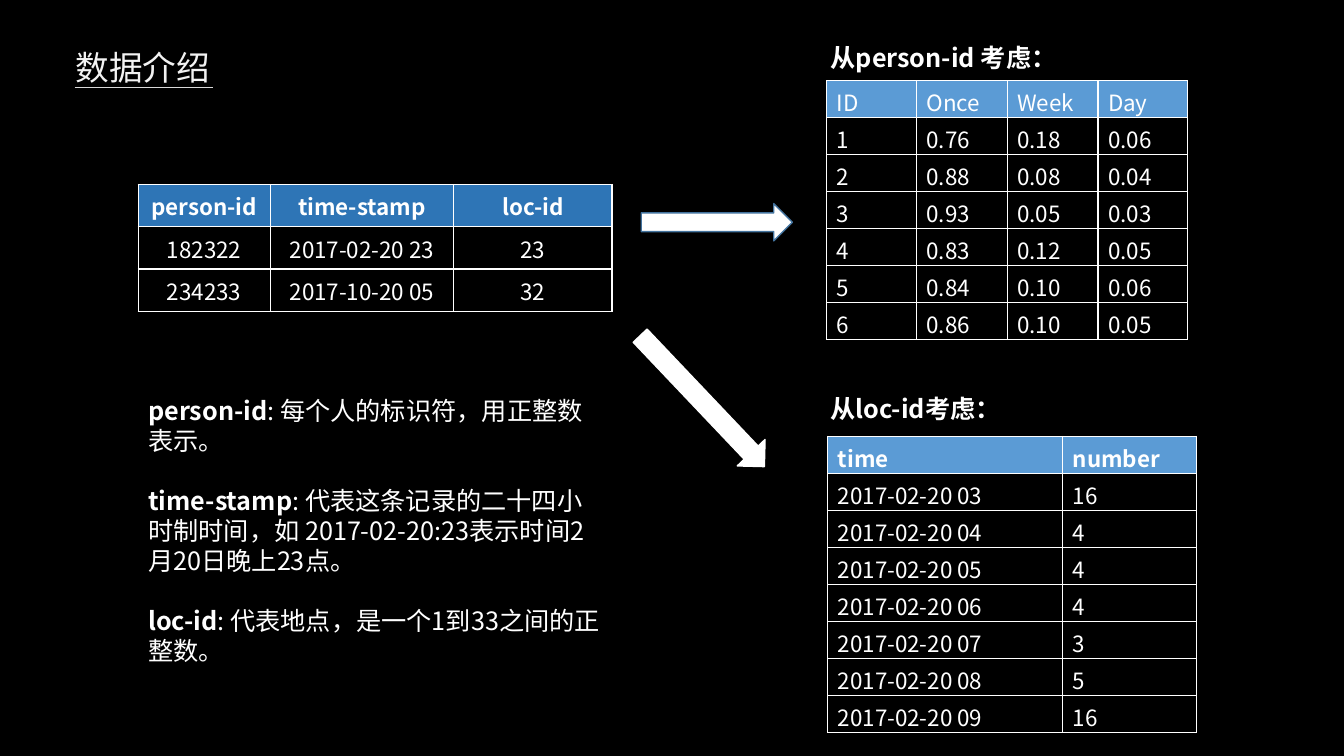
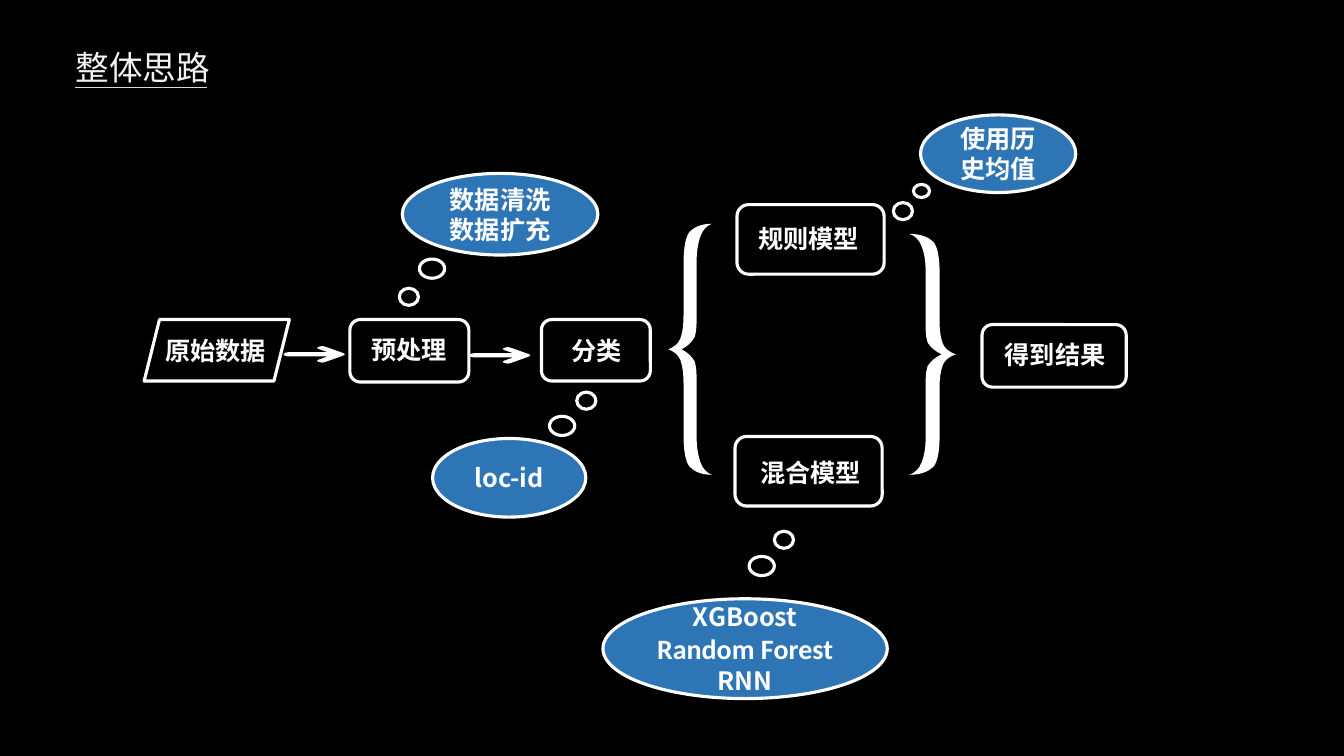
from dataclasses import dataclass
from typing import NamedTuple

from lxml import etree
from pptx import Presentation
from pptx.dml.color import RGBColor
from pptx.enum.shapes import MSO_CONNECTOR, MSO_SHAPE
from pptx.enum.text import MSO_ANCHOR, MSO_AUTO_SIZE, PP_ALIGN
from pptx.oxml.ns import qn
from pptx.util import Emu, Pt

ELLIPSE, ROUND_RECT = MSO_SHAPE.OVAL, MSO_SHAPE.ROUNDED_RECTANGLE
PARALLELOGRAM, RIGHT_ARROW = MSO_SHAPE.PARALLELOGRAM, MSO_SHAPE.RIGHT_ARROW
STRAIGHT = MSO_CONNECTOR.STRAIGHT
TOP, MIDDLE = MSO_ANCHOR.TOP, MSO_ANCHOR.MIDDLE
LEFT, CENTER = PP_ALIGN.LEFT, PP_ALIGN.CENTER
NO_FIT = MSO_AUTO_SIZE.NONE

EMU_PER_PX = 9144
Point = tuple[float, float]
Steps = tuple[tuple[int, ...], ...]


class Style(NamedTuple):
    font: str
    size: int
    color: str
    bold: bool = False


@dataclass(frozen=True)
class Theme:
    back: str = "000000"
    ink: str = "FFFFFF"
    rule: str = "D9D9D9"
    deep_blue: str = "2E75B6"
    light_blue: str = "5B9BD5"
    arrow_edge: str = "43739E"
    rule_width: float = 0.75
    thin: float = 1
    outline: float = 2.25
    leading: float = 1.195
    title: Style = Style("Calibri", 24, "F2F2F2")
    text: Style = Style("Noto Sans CJK SC", 18, "FFFFFF")
    strong: Style = Style("Noto Sans CJK SC", 18, "FFFFFF", True)
    latin: Style = Style("Calibri", 20, "FFFFFF", True)
    cell: Style = Style("Noto Sans CJK SC", 16, "FFFFFF")
    head: Style = Style("Noto Sans CJK SC", 16, "FFFFFF", True)


THEME = Theme()


class Box(NamedTuple):
    x: int
    y: int
    w: int
    h: int


class Line(NamedTuple):
    text: str
    style: Style = THEME.strong


class Node(NamedTuple):
    box: Box
    text: str
    dx: int = 0
    dy: int = 0
    kind: int = ROUND_RECT


class Bubble(NamedTuple):
    box: Box
    lines: tuple[Line, ...]
    dots: tuple[Box, Box]


@dataclass(frozen=True)
class Grid:
    box: Box
    cols: tuple[int, ...]
    rows: tuple[tuple[str, ...], ...]
    fill: str
    head: Style
    align: int = LEFT
    bottom: int = 0


DEFINITIONS = (
    ("person-id", "每个人的标识符，用正整数表示。"),
    ("time-stamp", "代表这条记录的二十四小时制时间，如 2017-02-20:23表示时间2月20日晚上23点。"),
    ("loc-id", "代表地点，是一个1到33之间的正整数。"),
)
HEADINGS = (
    (Box(814, 37, 270, 40), "从person-id 考虑："),
    (Box(814, 385, 238, 40), "从loc-id考虑："),
)
GRIDS = (
    Grid(Box(137, 183, 470, 126), (131, 182, 157),
         (("person-id", "time-stamp", "loc-id"),
          ("182322", "2017-02-20 23", "23"),
          ("234233", "2017-10-20 05", "32")),
         THEME.deep_blue, THEME.head, CENTER, 4),
    Grid(Box(820, 80, 358, 257), (89, 90, 90, 89),
         (("ID", "Once", "Week", "Day"),
          ("1", "0.76", "0.18", "0.06"),
          ("2", "0.88", "0.08", "0.04"),
          ("3", "0.93", "0.05", "0.03"),
          ("4", "0.83", "0.12", "0.05"),
          ("5", "0.84", "0.10", "0.06"),
          ("6", "0.86", "0.10", "0.05")),
         THEME.light_blue, THEME.cell),
    Grid(Box(821, 433, 366, 294), (233, 133),
         (("time", "number"),
          ("2017-02-20 03", "16"),
          ("2017-02-20 04", "4"),
          ("2017-02-20 05", "4"),
          ("2017-02-20 06", "4"),
          ("2017-02-20 07", "3"),
          ("2017-02-20 08", "5"),
          ("2017-02-20 09", "16")),
         THEME.light_blue, THEME.head),
)
BLOCK_ARROWS = (
    (Box(636, 202, 150, 37), THEME.arrow_edge, 0),
    (Box(607, 379, 179, 38), THEME.ink, 46.5),
)
NODES = (
    Node(Box(143, 317, 144, 61), "原始数据", -1, 0, PARALLELOGRAM),
    Node(Box(347, 317, 118, 62), "预处理", 0, -1),
    Node(Box(537, 317, 108, 61), "分类", 1),
    Node(Box(731, 203, 146, 69), "规则模型", -2, -1),
    Node(Box(729, 433, 146, 69), "混合模型", 2, 1),
    Node(Box(974, 322, 143, 62), "得到结果", 1, -1),
)
BUBBLES = (
    Bubble(Box(399, 172, 194, 81), (Line("数据清洗"), Line("数据扩充")),
           (Box(396, 286, 19, 17), Box(416, 257, 25, 19))),
    Bubble(Box(913, 114, 154, 77), (Line("使用历史均值"),),
           (Box(886, 201, 19, 17), Box(906, 183, 16, 13))),
    Bubble(Box(429, 435, 152, 78), (Line("loc-id"),),
           (Box(572, 389, 19, 17), Box(545, 413, 25, 19))),
    Bubble(Box(598, 594, 282, 99),
           (Line("XGBoost"), Line("Random Forest", THEME.latin), Line("RNN")),
           (Box(768, 527, 19, 17), Box(743, 552, 25, 19))),
)
ARROW_HALF = (
    (0, 8), (0, 7, 3, 6, 5, 6), (44, 6), (35, 3), (33, 3, 33, 1, 35, 1),
    (37, 0, 40, 0, 42, 1), (60, 7), (61, 7, 61, 8, 61, 8),
)
BRACE_HALF = (
    (13, 125), (19, 122, 23, 118, 26, 113), (28, 107, 28, 99, 28, 87), (28, 37),
    (28, 26, 30, 17, 32, 12), (34, 6, 38, 2, 43, 0), (33, 0, 26, 3, 21, 8),
    (17, 13, 15, 24, 15, 40), (15, 91), (15, 101, 14, 108, 12, 114),
    (10, 119, 7, 122, 0, 125),
)
OUTLINES = (
    (ARROW_HALF, Box(281, 343, 61, 16), False),
    (ARROW_HALF, Box(465, 344, 61, 16), False),
    (BRACE_HALF, Box(663, 222, 43, 249), False),
    (BRACE_HALF, Box(902, 232, 46, 239), True),
)


def px(n: float) -> Emu:
    return Emu(round(n * EMU_PER_PX))


def frame(box: Box) -> tuple[Emu, ...]:
    return tuple(px(n) for n in box)


def rgb(color: str) -> RGBColor:
    return RGBColor.from_string(color)


def set_style(p, style: Style, align: int = LEFT) -> None:
    p.alignment = align
    p.font.name, p.font.size, p.font.bold = style.font, Pt(style.size), style.bold
    p.font.color.rgb = rgb(style.color)
    latin = p._p.pPr.find(qn("a:defRPr")).find(qn("a:latin"))
    latin.addnext(latin.makeelement(qn("a:ea"), {"typeface": style.font}))


def set_leading(p, style: Style) -> None:
    p.line_spacing = Pt(round(style.size * THEME.leading, 1))


def write(tf, lines: tuple[Line, ...], align: int = LEFT) -> None:
    for i, line in enumerate(lines):
        p = tf.add_paragraph() if i else tf.paragraphs[0]
        p.text = line.text
        set_style(p, line.style, align)
        set_leading(p, line.style)


def place(sp, box: Box) -> None:
    sp.left, sp.top, sp.width, sp.height = frame(box)


def add_title(s, text: str, rule_end: int) -> None:
    sp = s.shapes.title
    place(sp, Box(65, 42, 156, 50))
    tf = sp.text_frame
    tf.auto_size, tf.word_wrap, tf.vertical_anchor = NO_FIT, False, TOP
    p = tf.paragraphs[0]
    p.text = text
    set_style(p, THEME.title)
    rule = s.shapes.add_connector(STRAIGHT, px(74), px(87), px(rule_end), px(87))
    rule.line.color.rgb = rgb(THEME.rule)
    rule.line.width = Pt(THEME.rule_width)
    etree.SubElement(rule._element.spPr, qn("a:effectLst"))


def add_shape(s, kind: int, box: Box, fill: str = "", edge: str = THEME.ink,
              width: float = THEME.outline):
    sp = s.shapes.add_shape(kind, *frame(box))
    sp.shadow.inherit = False
    if fill:
        sp.fill.solid()
        sp.fill.fore_color.rgb = rgb(fill)
    else:
        sp.fill.background()
    sp.line.color.rgb = rgb(edge)
    sp.line.width = Pt(width)
    return sp


def add_node(s, node: Node) -> None:
    tf = add_shape(s, node.kind, node.box).text_frame
    tf.margin_left, tf.margin_right = (px(max(0, 2 * n)) for n in (node.dx, -node.dx))
    tf.margin_top, tf.margin_bottom = (px(max(0, 2 * n)) for n in (node.dy, -node.dy))
    tf.word_wrap, tf.vertical_anchor = False, MIDDLE
    write(tf, (Line(node.text),), CENTER)


def add_bubble(s, bubble: Bubble) -> None:
    tf = add_shape(s, ELLIPSE, bubble.box, THEME.deep_blue).text_frame
    tf.word_wrap, tf.vertical_anchor = True, MIDDLE
    write(tf, bubble.lines, CENTER)
    for dot in bubble.dots:
        add_shape(s, ELLIPSE, dot)


def mirrored_ring(steps: Steps) -> list[list[Point]]:
    half = [list(zip(step[::2], step[1::2])) for step in steps]
    tall = 2 * half[0][0][1]
    back = [half[i][-2::-1] + half[i - 1][-1:] for i in range(len(half) - 1, 0, -1)]
    return half + [[(x, tall - y) for x, y in step] for step in back]


def add_outline(s, steps: Steps, box: Box, flip: bool) -> None:
    ring = mirrored_ring(steps)
    wide = max(step[-1][0] for step in ring)
    tall = max(step[-1][1] for step in ring)
    ring = [[(px(box.x + box.w * (wide - x if flip else x) / wide),
              px(box.y + box.h * y / tall)) for x, y in step] for step in ring]
    builder = s.shapes.build_freeform(*ring[0][0], scale=1.0)
    builder.add_line_segments([step[-1] for step in ring[1:]], close=True)
    sp = builder.convert_to_shape()
    for segment, step in zip(list(sp._element.iter(qn("a:lnTo"))), ring[1:]):
        if len(step) == 3:
            segment.tag = qn("a:cubicBezTo")
            for i, (x, y) in enumerate(step[:-1]):
                segment.insert(i, segment.makeelement(
                    qn("a:pt"), {"x": str(x - sp.left), "y": str(y - sp.top)}))
    sp.shadow.inherit = False
    sp.fill.solid()
    sp.fill.fore_color.rgb = rgb(THEME.ink)
    sp.line.fill.background()


def add_borders(cell) -> None:
    tc_pr = cell._tc.get_or_add_tcPr()
    for side in "LRTB":
        ln = etree.SubElement(tc_pr, qn(f"a:ln{side}"), w=str(Pt(THEME.thin)))
        fill = etree.SubElement(ln, qn("a:solidFill"))
        etree.SubElement(fill, qn("a:srgbClr"), val=THEME.ink)


def add_grid(s, grid: Grid) -> None:
    table = s.shapes.add_table(len(grid.rows), len(grid.cols), *frame(grid.box)).table
    table.first_row = table.horz_banding = False
    for col, width in zip(table.columns, grid.cols):
        col.width = px(width)
    for i, row in enumerate(grid.rows):
        for j, text in enumerate(row):
            cell = table.cell(i, j)
            add_borders(cell)
            cell.margin_top, cell.margin_bottom = px(5), px(grid.bottom)
            cell.vertical_anchor = MIDDLE
            if i:
                cell.fill.background()
            else:
                cell.fill.solid()
                cell.fill.fore_color.rgb = rgb(grid.fill)
            p = cell.text_frame.paragraphs[0]
            p.text = text
            set_style(p, THEME.cell if i else grid.head, grid.align)


def add_definitions(s) -> None:
    sp = s.placeholders[1]
    place(sp, Box(137, 387, 470, 283))
    tf = sp.text_frame
    tf.auto_size, tf.word_wrap, tf.vertical_anchor = NO_FIT, True, TOP
    for i, (term, meaning) in enumerate(DEFINITIONS):
        p = tf.add_paragraph() if i else tf.paragraphs[0]
        r = p.add_run()
        r.text, r.font.bold = term, True
        p.add_run().text = f": {meaning}"
        set_style(p, THEME.text)
        set_leading(p, THEME.text)
        p.space_before = p.line_spacing if i else Pt(0)
        p_pr = p._p.pPr
        p_pr.set("marL", "0")
        p_pr.set("indent", "0")
        p_pr.find(qn("a:defRPr")).addprevious(p_pr.makeelement(qn("a:buNone"), {}))


def build_data_slide(prs) -> None:
    s = prs.slides.add_slide(prs.slide_layouts[1])
    add_title(s, "数据介绍", 211)
    add_definitions(s)
    for box, text in HEADINGS:
        tf = s.shapes.add_textbox(*frame(box)).text_frame
        tf.word_wrap = True
        write(tf, (Line(text),))
    for grid in GRIDS:
        add_grid(s, grid)
    for box, edge, angle in BLOCK_ARROWS:
        add_shape(s, RIGHT_ARROW, box, THEME.ink, edge, THEME.thin).rotation = angle


def build_flow_slide(prs) -> None:
    s = prs.slides.add_slide(prs.slide_layouts[5])
    add_title(s, "整体思路", 205)
    for node in NODES:
        add_node(s, node)
    for steps, box, flip in OUTLINES:
        add_outline(s, steps, box, flip)
    for bubble in BUBBLES:
        add_bubble(s, bubble)


def main() -> None:
    prs = Presentation()
    prs.slide_width, prs.slide_height = px(1333), px(750)
    back = prs.slide_master.background.fill
    back.solid()
    back.fore_color.rgb = rgb(THEME.back)
    build_data_slide(prs)
    build_flow_slide(prs)
    prs.save("out.pptx")


if __name__ == "__main__":
    main()
